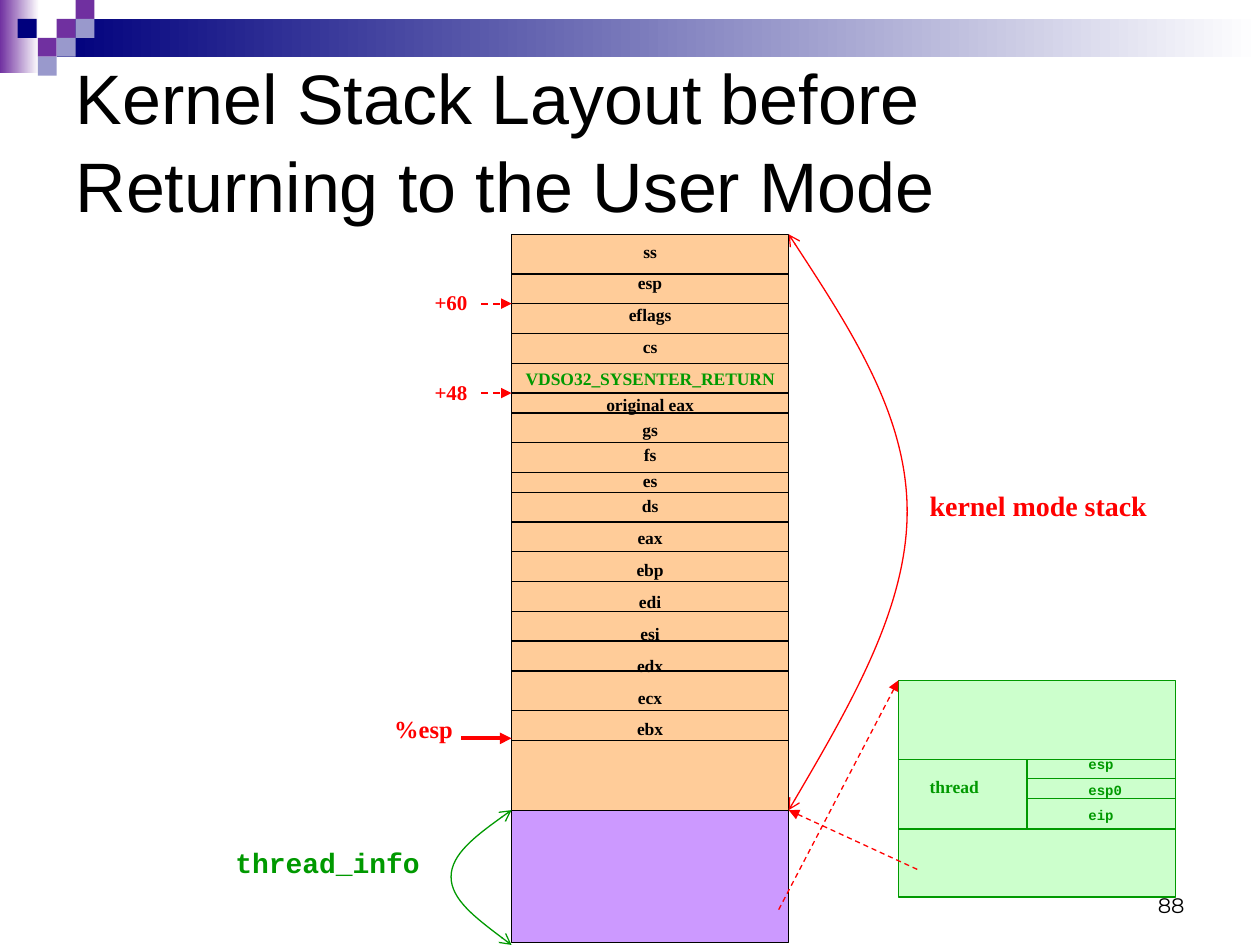
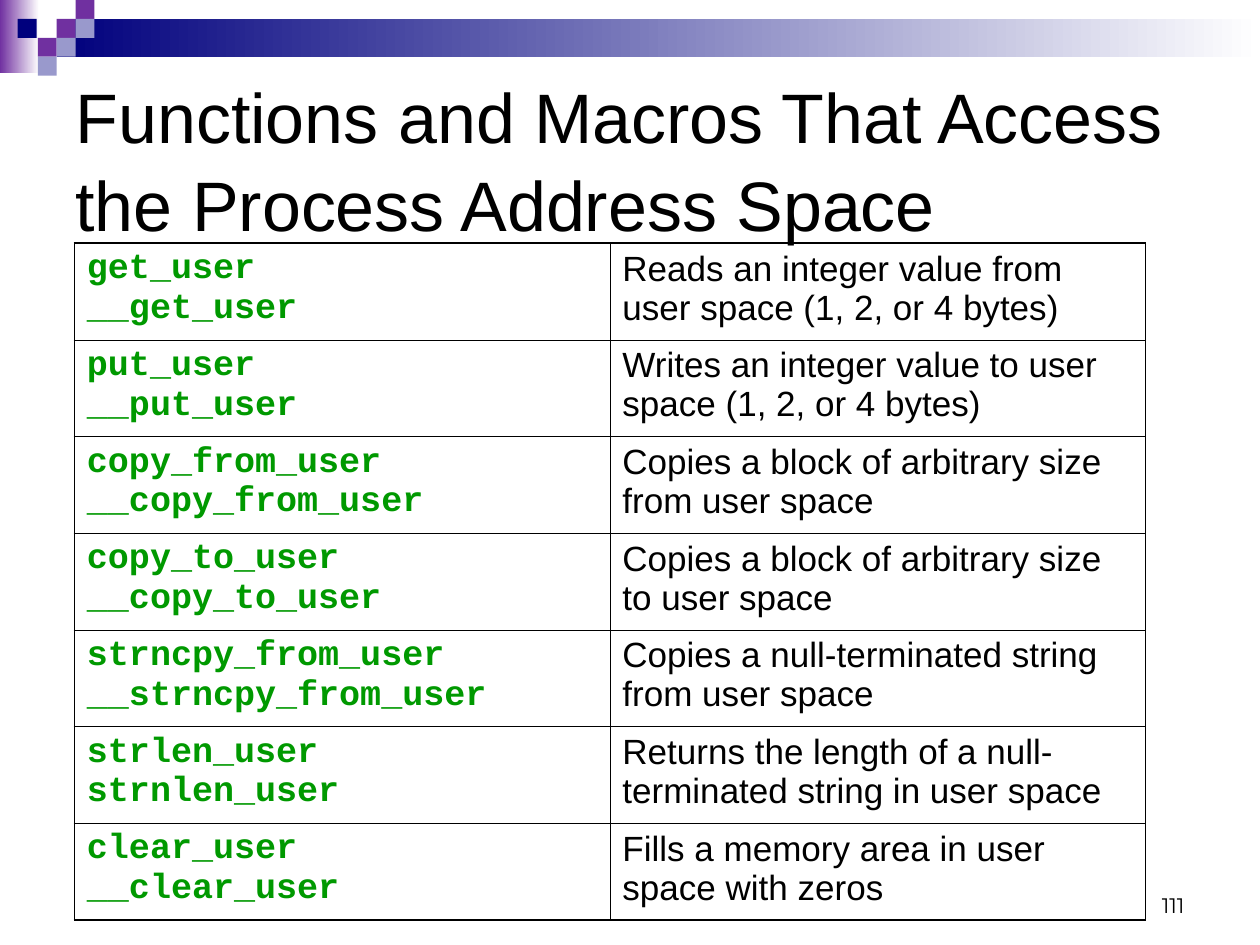
"""Build two slides: the kernel stack layout and the user-space access functions."""
import dataclasses

import pptx
import pptx.dml.color
import pptx.enum.dml
import pptx.enum.shapes
import pptx.enum.text
import pptx.oxml
import pptx.oxml.ns
import pptx.util

Inches = pptx.util.Inches
Pt = pptx.util.Pt
Align = pptx.enum.text.PP_ALIGN
Anchor = pptx.enum.text.MSO_ANCHOR
RECT = pptx.enum.shapes.MSO_SHAPE.RECTANGLE


@dataclasses.dataclass(frozen=True)
class Theme:
    purple: str = "7030A0"
    navy: str = "00007D"
    lilac: str = "9999CC"
    white: str = "FFFFFF"
    black: str = "000000"
    red: str = "FF0000"
    green: str = "009900"
    mint: str = "CCFFCC"
    peach: str = "FFCC99"
    violet: str = "CC99FF"
    sans: str = "Arial"
    serif: str = "Times New Roman"
    mono: str = "Courier New"
    number_font: str = "Montserrat"
    title_size: int = 40
    table_size: int = 20
    heading_size: int = 16
    pointer_size: int = 14
    small_size: int = 12
    register_size: int = 10
    field_size: int = 8
    thin: float = 0.75
    thick: float = 2.25
    inner_border: float = 0.45
    outer_border: float = 1.08


THEME = Theme()

BANDS = [
    ((0, 0, 0.31, 0.58), THEME.purple),
    ((0.45, 0.15, 9.55, 0.3), THEME.navy),
]
TILE = 0.15
TILES = [
    (0.45, 0.15, THEME.purple),
    (0.6, 0, THEME.purple),
    (0.6, 0.15, THEME.lilac),
    (0.3, 0.3, THEME.purple),
    (0.14, 0.15, THEME.navy),
    (0.45, 0.3, THEME.lilac),
    (0.3, 0.45, THEME.lilac),
]

STACK_TITLE = "Kernel Stack Layout before Returning to the User Mode"
STACK_LEFT, STACK_TOP, STACK_WIDTH = 4.06, 1.86, 2.2
STACK_RIGHT = STACK_LEFT + STACK_WIDTH
THREAD_INFO_TOP = 6.43
ROW_UNIT = 1 / 12.7
WIDE_GAP, TIGHT_GAP = 6.2, 2.5
SAVED_REGISTERS = [
    ("ss", 4, WIDE_GAP),
    ("esp", 3, WIDE_GAP),
    ("eflags", 3, WIDE_GAP),
    ("cs", 3, WIDE_GAP),
    ("VDSO32_SYSENTER_RETURN", 3, WIDE_GAP),
    ("original eax", 2, TIGHT_GAP),
    ("gs", 3, TIGHT_GAP),
    ("fs", 3, TIGHT_GAP),
    ("es", 2, TIGHT_GAP),
    ("ds", 3, TIGHT_GAP),
    ("eax", 3, WIDE_GAP),
    ("ebp", 3, WIDE_GAP),
    ("edi", 3, WIDE_GAP),
    ("esi", 3, WIDE_GAP),
    ("edx", 3, WIDE_GAP),
    ("ecx", 4, WIDE_GAP),
    ("ebx", 3, WIDE_GAP),
]
RETURN_ADDRESS = "VDSO32_SYSENTER_RETURN"

TASK_LEFT, TASK_RIGHT, FIELD_LEFT = 7.13, 9.33, 8.15
TASK_BOX = (TASK_LEFT, 5.4, TASK_RIGHT - TASK_LEFT, 1.72)
THREAD_TOP, THREAD_BOTTOM = 6.03, 6.58
TASK_DIVIDERS = [
    ((TASK_LEFT, THREAD_TOP), (TASK_RIGHT, THREAD_TOP)),
    ((TASK_LEFT, THREAD_BOTTOM), (TASK_RIGHT, THREAD_BOTTOM)),
    ((FIELD_LEFT, THREAD_TOP), (FIELD_LEFT, THREAD_BOTTOM)),
    ((FIELD_LEFT, 6.18), (TASK_RIGHT, 6.18)),
    ((FIELD_LEFT, 6.34), (TASK_RIGHT, 6.34)),
]
LABELS = [
    ((7.28, 3.83, 2.05, 0.37), ["kernel mode stack"], THEME.heading_size, THEME.serif, THEME.red),
    ((1.77, 6.66, 1.73, 0.37), ["thread_info"], THEME.heading_size, THEME.mono, THEME.green),
    ((3.03, 5.62, 0.68, 0.34), ["%esp"], THEME.pointer_size, THEME.serif, THEME.red),
    ((3.35, 2.25, 0.48, 0.3), ["+60"], THEME.small_size, THEME.serif, THEME.red),
    ((3.35, 2.96, 0.48, 0.3), ["+48"], THEME.small_size, THEME.serif, THEME.red),
    ((7.28, 6.11, 0.71, 0.27), ["thread"], THEME.register_size, THEME.serif, THEME.green),
    ((8.54, 5.95, 0.63, 0.64), ["esp", "esp0", "eip"], THEME.field_size, THEME.mono, THEME.green),
]
POINTERS = [
    ((3.66, 5.86), (STACK_LEFT, 5.86), THEME.thick, False),
    ((6.18, 7.22), (TASK_LEFT, 5.4), THEME.thin, True),
    ((7.28, 6.9), (STACK_RIGHT, THREAD_INFO_TOP), THEME.thin, True),
    ((3.82, 2.41), (STACK_LEFT, 2.41), 1, True),
    ((3.82, 3.12), (STACK_LEFT, 3.12), 1, True),
]
EXTENT_CURVES = [
    ([(6.26, 1.86), (6.73, 2.58), (7.2, 3.3), (7.2, 4.06),
      (7.2, 4.82), (6.73, 5.63), (6.26, 6.43)], THEME.red),
    ([(4.06, 6.43), (3.82, 6.6), (3.58, 6.78), (3.58, 6.96),
      (3.58, 7.14), (3.82, 7.32), (4.06, 7.5)], THEME.green),
]

ACCESS_TITLE = "Functions and Macros That Access the Process Address Space"
ACCESS_TABLE = (0.59, 1.93, 8.5, 5.37)
ACCESS_FUNCTIONS = [
    (("get_user", "__get_user"), "Reads an integer value from user space (1, 2, or 4 bytes)"),
    (("put_user", "__put_user"), "Writes an integer value to user space (1, 2, or 4 bytes)"),
    (("copy_from_user", "__copy_from_user"), "Copies a block of arbitrary size from user space"),
    (("copy_to_user", "__copy_to_user"), "Copies a block of arbitrary size to user space"),
    (("strncpy_from_user", "__strncpy_from_user"),
     "Copies a null-terminated string from user space"),
    (("strlen_user", "strnlen_user"),
     "Returns the length of a null-terminated string in user space"),
    (("clear_user", "__clear_user"), "Fills a memory area in user space with zeros"),
]


def rgb(colour):
    return pptx.dml.color.RGBColor.from_string(colour)


def inches(lengths):
    return [Inches(length) for length in lengths]


def add_run(paragraph, text, size, font, colour, bold=False):
    run = paragraph.add_run()
    run.text = text
    run.font.size, run.font.name, run.font.bold = Pt(size), font, bold
    run.font.color.rgb = rgb(colour)


def paragraphs(frame, count):
    return [frame.paragraphs[0]] + [frame.add_paragraph() for _ in range(count - 1)]


def add_box(slide, place, fill, outline=None):
    box = slide.shapes.add_shape(RECT, *inches(place))
    box.shadow.inherit = False
    box.fill.solid()
    box.fill.fore_color.rgb = rgb(fill)
    if outline:
        box.line.color.rgb = rgb(outline)
        box.line.width = Pt(THEME.thin)
    else:
        box.line.fill.background()
    return box


def add_text(slide, place, lines, size, font, colour, bold=True):
    frame = slide.shapes.add_textbox(*inches(place)).text_frame
    frame.word_wrap = True
    for paragraph, line in zip(paragraphs(frame, len(lines)), lines):
        paragraph.space_before = Pt(size * 0.625)
        add_run(paragraph, line, size, font, colour, bold)
    return frame


def add_arrowhead(line, end, kind):
    head = pptx.oxml.ns.qn(f"a:{end}End")
    line.get_or_change_to_solidFill().getparent().makeelement(head)
    return head, kind


def set_arrowheads(shape, **kinds):
    outline = shape.line._get_or_add_ln()
    for end, kind in kinds.items():
        outline.append(outline.makeelement(pptx.oxml.ns.qn(f"a:{end}End"), {"type": kind}))


def add_line(slide, start, end, colour, width=THEME.thin, dashed=False, arrow=False):
    line = slide.shapes.add_connector(
        pptx.enum.shapes.MSO_CONNECTOR.STRAIGHT, *inches(start + end))
    line.line.color.rgb = rgb(colour)
    line.line.width = Pt(width)
    if dashed:
        line.line.dash_style = pptx.enum.dml.MSO_LINE.DASH
    if arrow:
        set_arrowheads(line, tail="triangle")
    properties = line._element.spPr
    properties.append(properties.makeelement(pptx.oxml.ns.qn("a:effectLst")))


def add_curve(slide, points, colour):
    start, *rest = [tuple(inches(point)) for point in points]
    builder = slide.shapes.build_freeform(*start)
    builder.add_line_segments(rest, close=False)
    curve = builder.convert_to_shape()
    curve.shadow.inherit = False
    curve.fill.background()
    curve.line.color.rgb = rgb(colour)
    curve.line.width = Pt(THEME.thin)
    set_arrowheads(curve, head="arrow", tail="arrow")
    segments = curve._element.xpath(".//a:lnTo")
    for first in range(0, len(segments), 3):
        bezier = segments[first].makeelement(pptx.oxml.ns.qn("a:cubicBezTo"))
        segments[first].addprevious(bezier)
        for segment in segments[first:first + 3]:
            bezier.append(segment[0])
            segment.getparent().remove(segment)


def decorate_layout(slide):
    decorations = []
    for place, colour in BANDS:
        band = add_box(slide, place, colour)
        band.fill.gradient()
        band.fill.gradient_angle = 0
        for stop, shade in zip(band.fill.gradient_stops, (colour, THEME.white)):
            stop.color.rgb = rgb(shade)
        decorations.append(band)
    for left, top, colour in TILES:
        decorations.append(add_box(slide, (left, top, TILE, TILE), colour))
    for decoration in decorations:
        slide.slide_layout.shapes._spTree.append(decoration._element)


def start_slide(deck, title, title_height, number):
    slide = deck.slides.add_slide(deck.slide_layouts[5])
    heading = slide.shapes.title
    heading.left, heading.top, heading.width, heading.height = inches((0.5, 0.5, 9, title_height))
    frame = heading.text_frame
    frame.auto_size = pptx.enum.text.MSO_AUTO_SIZE.NONE
    frame.vertical_anchor = Anchor.MIDDLE
    paragraph = frame.paragraphs[0]
    paragraph.alignment, paragraph.line_spacing = Align.LEFT, 1.05
    add_run(paragraph, title, THEME.title_size, THEME.sans, THEME.black)
    footer = add_text(slide, (7.17, 6.83, 2.33, 0.5), [number], THEME.small_size,
                      THEME.number_font, THEME.black, bold=False)
    footer.vertical_anchor = Anchor.BOTTOM
    footer.paragraphs[0].alignment = Align.RIGHT
    return slide


def draw_stack(slide):
    stack = add_box(slide, (STACK_LEFT, STACK_TOP, STACK_WIDTH, 5.08), THEME.peach, THEME.black)
    stack.text_frame.vertical_anchor = Anchor.TOP
    add_box(slide, (STACK_LEFT, THREAD_INFO_TOP, STACK_WIDTH, 1.05), THEME.violet, THEME.black)
    bottom = STACK_TOP
    lines = paragraphs(stack.text_frame, len(SAVED_REGISTERS))
    for paragraph, (register, units, gap) in zip(lines, SAVED_REGISTERS):
        paragraph.alignment, paragraph.space_before = Align.CENTER, Pt(gap)
        colour = THEME.green if register == RETURN_ADDRESS else THEME.black
        add_run(paragraph, register, THEME.register_size, THEME.serif, colour, bold=True)
        bottom += units * ROW_UNIT
        add_line(slide, (STACK_LEFT, bottom), (STACK_RIGHT, bottom), THEME.black)
    add_box(slide, TASK_BOX, THEME.mint, THEME.green)
    for start, end in TASK_DIVIDERS:
        add_line(slide, start, end, THEME.green)
    for label in LABELS:
        add_text(slide, *label)
    for points, colour in EXTENT_CURVES:
        add_curve(slide, points, colour)
    for start, end, width, dashed in POINTERS:
        add_line(slide, start, end, THEME.red, width, dashed, arrow=True)


def set_borders(cell, outer_sides):
    properties = cell._tc.get_or_add_tcPr()
    for position, side in enumerate("LRTB"):
        width = THEME.outer_border if side in outer_sides else THEME.inner_border
        properties.insert(position, pptx.oxml.parse_xml(
            f'<a:ln{side} {pptx.oxml.ns.nsdecls("a")} w="{Pt(width)}"><a:solidFill>'
            f'<a:srgbClr val="{THEME.black}"/></a:solidFill></a:ln{side}>'))


def draw_access_table(slide):
    last = len(ACCESS_FUNCTIONS) - 1
    table = slide.shapes.add_table(last + 1, 2, *inches(ACCESS_TABLE)).table
    table.first_row = table.horz_banding = False
    for row, (functions, purpose) in enumerate(ACCESS_FUNCTIONS):
        names, meaning = table.rows[row].cells
        for cell, side in ((names, "L"), (meaning, "R")):
            cell.fill.background()
            cell.text_frame.paragraphs[0].space_before = Pt(5)
            set_borders(cell, side + "T" * (row == 0) + "B" * (row == last))
        paragraph = names.text_frame.paragraphs[0]
        for position, function in enumerate(functions):
            if position:
                paragraph.add_line_break()
            add_run(paragraph, function, THEME.table_size, THEME.mono, THEME.green, bold=True)
        add_run(meaning.text_frame.paragraphs[0], purpose, THEME.table_size,
                THEME.sans, THEME.black)


def main():
    deck = pptx.Presentation()
    deck.slide_width, deck.slide_height = inches((10, 7.5))
    stack_slide = start_slide(deck, STACK_TITLE, 1.2, "88")
    decorate_layout(stack_slide)
    draw_stack(stack_slide)
    draw_access_table(start_slide(deck, ACCESS_TITLE, 1.5, "111"))
    deck.save("out.pptx")


if __name__ == "__main__":
    main()
